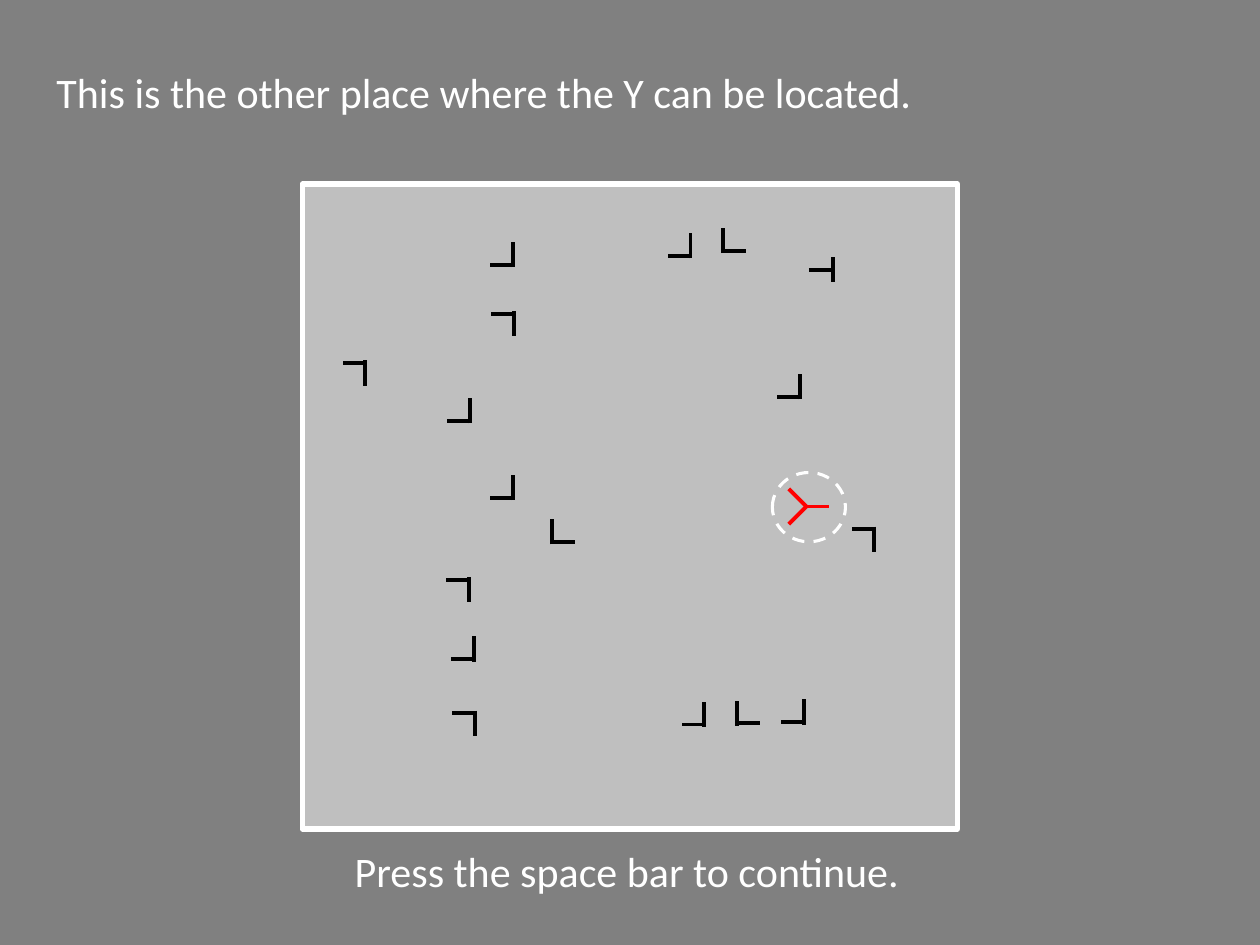
from lxml import etree
from pptx import Presentation
from pptx.dml.color import RGBColor
from pptx.enum.dml import MSO_LINE
from pptx.enum.shapes import MSO_CONNECTOR, MSO_SHAPE
from pptx.enum.text import MSO_AUTO_SIZE, PP_ALIGN
from pptx.oxml.ns import qn
from pptx.util import Inches, Pt


def color(value):
    return RGBColor.from_string(value)


def add_stroke(x1, y1, x2, y2, stroke_color):
    line = s.shapes.add_connector(
        MSO_CONNECTOR.STRAIGHT, Inches(x1), Inches(y1), Inches(x2), Inches(y2))
    line.line.color.rgb = color(stroke_color)
    line.line.width = Pt(2.25)
    etree.SubElement(line._element.spPr, qn("a:effectLst"))


prs = Presentation()
prs.slide_width, prs.slide_height = Inches(10), Inches(7.5)
s = prs.slides.add_slide(prs.slide_layouts[6])
s.background.fill.solid()
s.background.fill.fore_color.rgb = color("808080")

# Search field
field = s.shapes.add_shape(
    MSO_SHAPE.RECTANGLE, Inches(2.4), Inches(1.46), Inches(5.2), Inches(5.12))
field.shadow.inherit = False
field.fill.solid()
field.fill.fore_color.rgb = color("BFBFBF")
field.line.color.rgb = color("FFFFFF")
field.line.width = Pt(3)

# L distractors: the corner points of each orientation, keyed by arm directions (right, down)
ARM = 0.18
OVERLAP_X, OVERLAP_Y = 0.01, 0.02
corners = {
    (-1, 1): [(2.9, 2.88), (6.94, 4.2), (4.08, 2.49), (3.72, 4.6), (3.77, 5.66)],
    (-1, -1): [(4.07, 2.1), (5.48, 2.03), (6.38, 5.73), (3.76, 5.23), (4.07, 3.95),
               (5.59, 5.75), (3.73, 3.34), (6.35, 3.15)],
    (1, -1): [(5.74, 1.99), (5.85, 5.74), (4.38, 4.3)],
}
for (dx, dy), points in corners.items():
    for x, y in points:
        add_stroke(x - dx * OVERLAP_X, y, x + dx * ARM, y, "000000")
        add_stroke(x, y - dy * OVERLAP_Y, x, y + dy * ARM, "000000")

# T lying on its side
add_stroke(6.42, 2.14, 6.61, 2.14, "000000")
add_stroke(6.61, 2.04, 6.61, 2.24, "000000")

# Instructions
for text, left, top, align in [
    ("This is the other place where the Y can be located.", 0.35, 0.48, PP_ALIGN.JUSTIFY),
    ("Press the space bar to continue.", 0.31, 6.66, PP_ALIGN.CENTER),
]:
    tf = s.shapes.add_textbox(Inches(left), Inches(top), Inches(9.33), Inches(0.5)).text_frame
    tf.word_wrap = True
    tf.auto_size = MSO_AUTO_SIZE.SHAPE_TO_FIT_TEXT
    tf.text = text
    p = tf.paragraphs[0]
    p.alignment = align
    r = p.runs[0]
    r.font.name = "Calibri"
    r.font.size = Pt(24)
    r.font.color.rgb = color("FFFFFF")

# Circled Y target
ring = s.shapes.add_shape(
    MSO_SHAPE.OVAL, Inches(6.13), Inches(3.75), Inches(0.58), Inches(0.55))
ring.shadow.inherit = False
ring.fill.background()
ring.line.color.rgb = color("FFFFFF")
ring.line.width = Pt(1.75)
ring.line.dash_style = MSO_LINE.DASH

for tip_x, tip_y in [(6.58, 4.02), (6.26, 3.88), (6.26, 4.16)]:
    add_stroke(6.4, 4.02, tip_x, tip_y, "FF0000")

prs.save("out.pptx")
